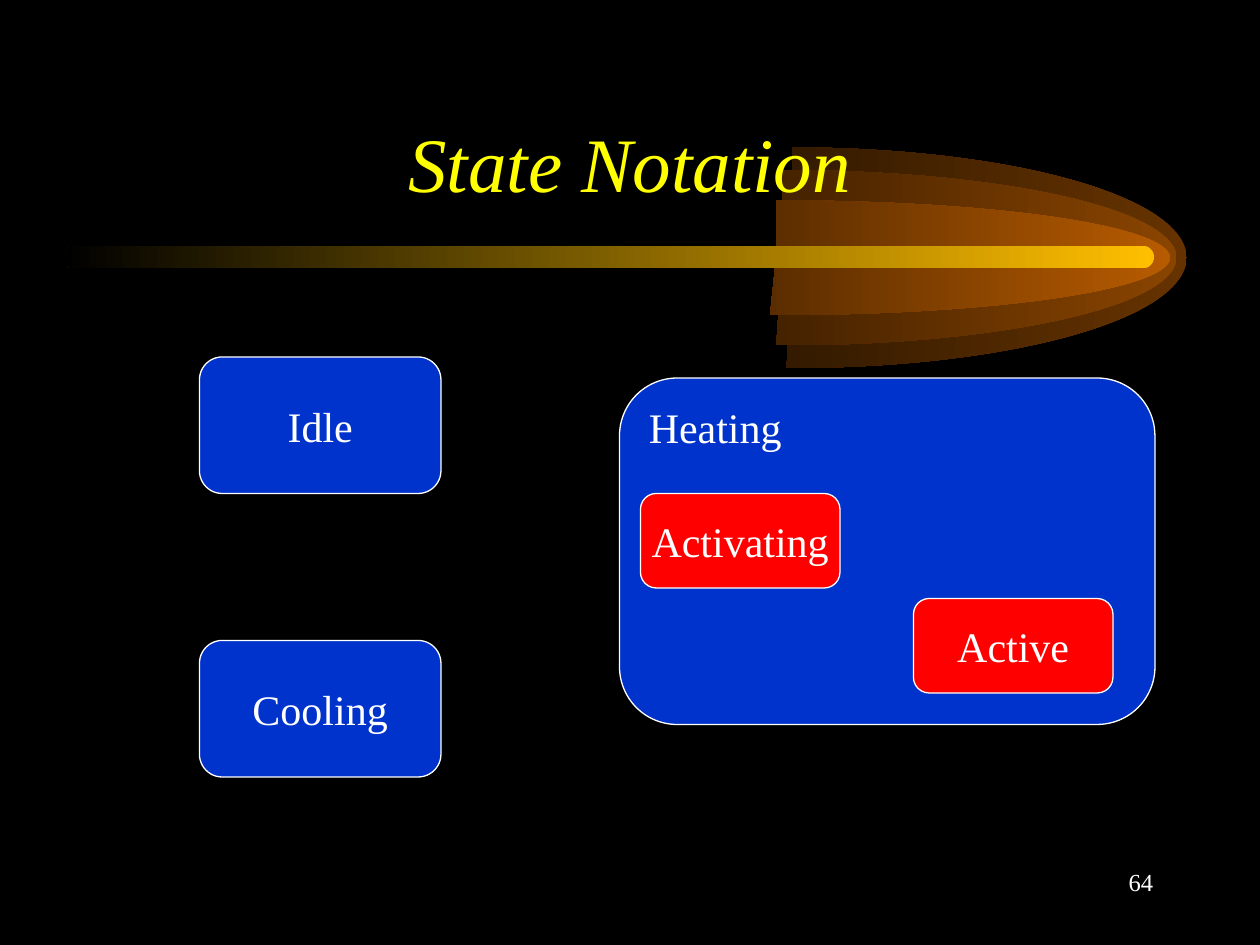
from pptx import Presentation
from pptx.dml.color import RGBColor
from pptx.enum.shapes import MSO_SHAPE as Shape
from pptx.enum.text import MSO_ANCHOR as Anchor, PP_ALIGN as Align
from pptx.util import Inches, Pt

FONT = "Times New Roman"
COLORS = {
    "black": "000000", "white": "FFFFFF", "yellow": "FFFF00",
    "state": "0033CC", "substate": "FF0000", "beam": "FFBF00",
    "outer": "663300", "middle": "894400", "inner": "B75B00",
}
CELL = 1 / 12  # grid step in inches

# name, fill, (column, row, columns, rows), alignment, anchor
STATES = [
    ("Idle", "state", (19, 34, 23, 13), Align.CENTER, Anchor.MIDDLE),
    ("Cooling", "state", (19, 61, 23, 13), Align.CENTER, Anchor.MIDDLE),
    ("Heating", "state", (59, 36, 51, 33), Align.LEFT, Anchor.TOP),
    ("Activating", "substate", (61, 47, 19, 9), Align.CENTER, Anchor.MIDDLE),
    ("Active", "substate", (87, 57, 19, 9), Align.CENTER, Anchor.MIDDLE),
]

# Comet layers: color, left, top, height, end angle in degrees
LAYERS = [
    ("outer", 3.16, 1.17, 1.75, 93),
    ("middle", 3.08, 1.35, 1.39, 94),
    ("inner", 3.03, 1.59, 0.91, 96),
]
COMET_WIDTH = 6.26
ANGLE_UNIT = 0.6  # adjustment value of one degree


def rgb(name):
    return RGBColor.from_string(COLORS[name])


def add_glow(s, kind, box, color, adjustments):
    """Add a shape that fades from color at the right to black at the left."""
    sp = s.shapes.add_shape(kind, *map(Inches, box))
    for i, value in enumerate(adjustments):
        sp.adjustments[i] = value
    sp.shadow.inherit = False
    sp.line.fill.background()
    sp.fill.gradient()
    sp.fill.gradient_angle = 180
    for stop, name in zip(sp.fill.gradient_stops, (color, "black")):
        stop.color.rgb = rgb(name)


def write(sp, text, size, color, align, anchor, wrap=True, italic=False):
    tf = sp.text_frame
    tf.word_wrap = wrap
    tf.vertical_anchor = anchor
    p = tf.paragraphs[0]
    p.text = text
    p.alignment = align
    p.font.name, p.font.size, p.font.italic = FONT, Pt(size), italic
    p.font.color.rgb = rgb(color)


def add_comet(s):
    for color, left, top, height, end in LAYERS:
        add_glow(s, Shape.ARC, (left, top, COMET_WIDTH, height), color,
                 (270 * ANGLE_UNIT, end * ANGLE_UNIT))
    add_glow(s, Shape.ROUNDED_RECTANGLE, (0.5, 1.95, 8.66, 0.18), "beam", (0.5,))


def add_state(s, name, fill, cells, align, anchor):
    sp = s.shapes.add_shape(
        Shape.ROUNDED_RECTANGLE, *(Inches(n * CELL) for n in cells))
    sp.shadow.inherit = False
    sp.fill.solid()
    sp.fill.fore_color.rgb = rgb(fill)
    sp.line.color.rgb = rgb("white")
    sp.line.width = Pt(0.75)
    write(sp, name, 24, "white", align, anchor, wrap=align == Align.LEFT)


def main():
    prs = Presentation()
    prs.slide_width, prs.slide_height = Inches(10), Inches(7.5)
    s = prs.slides.add_slide(prs.slide_layouts[6])
    s.background.fill.solid()
    s.background.fill.fore_color.rgb = rgb("black")

    add_comet(s)
    title = s.shapes.add_textbox(*map(Inches, (0.75, 0.66, 8.5, 1.25)))
    write(title, "State Notation", 44, "yellow", Align.CENTER, Anchor.MIDDLE, italic=True)
    for state in STATES:
        add_state(s, *state)
    number = s.shapes.add_textbox(*map(Inches, (7.17, 6.83, 2.08, 0.5)))
    write(number, "64", 14, "white", Align.RIGHT, Anchor.TOP)

    prs.save("out.pptx")


if __name__ == "__main__":
    main()
